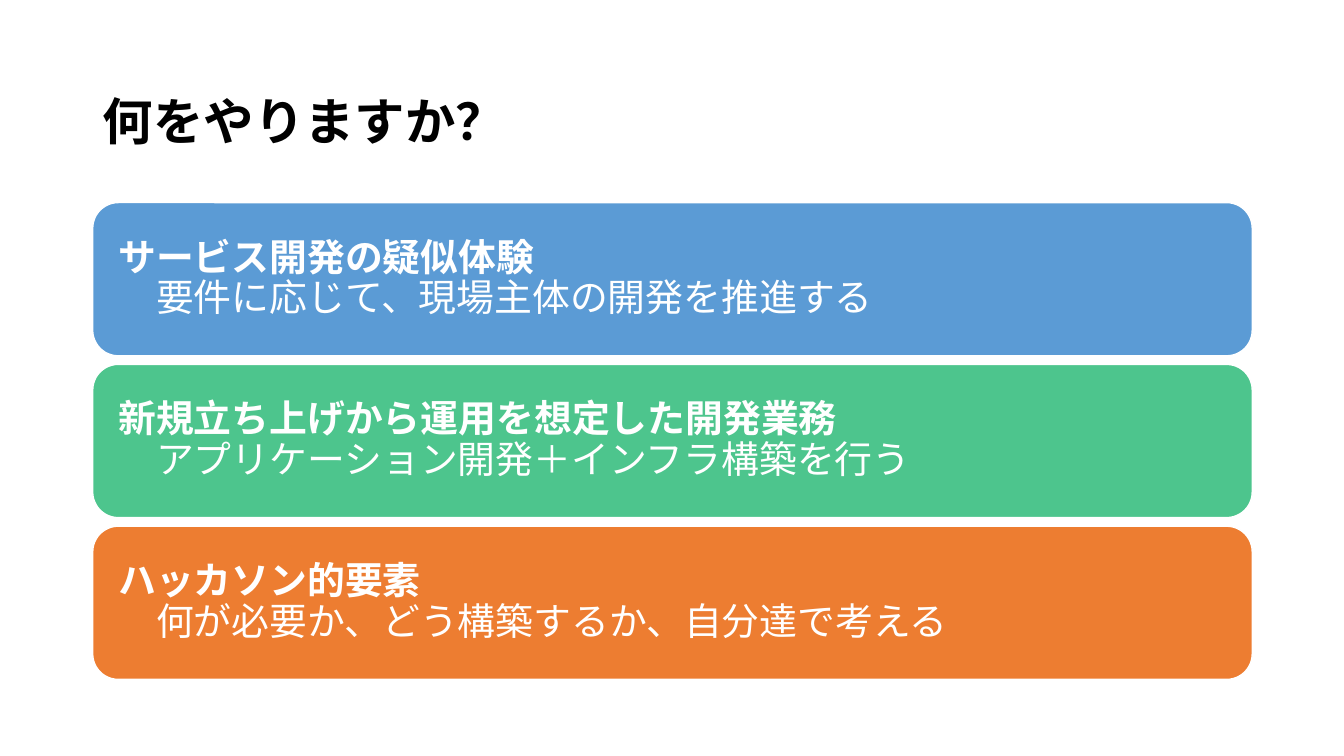
from pptx import Presentation
from pptx import util as u
from pptx.dml.color import RGBColor
from pptx.enum import shapes, text

COLORS = {"ink": "000000", "paper": "FFFFFF", "blue": "5B9BD5", "green": "4DC58D", "orange": "ED7D31"}
LEFT, WIDTH = 0.92, 11.5
CARD_TOP, CARD_HEIGHT, CARD_PITCH = 2.01, 1.52, 1.605
CARDS = [
    ("blue", "サービス開発の疑似体験", "　要件に応じて、現場主体の開発を推進する"),
    ("green", "新規立ち上げから運用を想定した開発業務", "　アプリケーション開発＋インフラ構築を行う"),
    ("orange", "ハッカソン的要素", "　何が必要か、どう構築するか、自分達で考える"),
]


def apply(target, values):
    for name, value in values.items():
        setattr(target, name, value)


class SlideBuilder:
    """Holds the slide style and draws its title and cards."""

    def __init__(self, presentation):
        self.slide = presentation.slides.add_slide(presentation.slide_layouts[5])
        self.frame_format = {
            "word_wrap": True,
            "auto_size": text.MSO_AUTO_SIZE.NONE,
            "vertical_anchor": text.MSO_ANCHOR.MIDDLE,
        }
        self.paragraph_format = {"alignment": text.PP_ALIGN.LEFT, "line_spacing": 0.9}

    def color(self, name):
        return RGBColor.from_string(COLORS[name])

    def add_run(self, paragraph, content, size, color, bold):
        run = paragraph.add_run()
        run.text = content
        apply(run.font, {"name": "Calibri", "size": u.Pt(size), "bold": bold})
        run.font.color.rgb = self.color(color)

    def start_paragraph(self, shape, space_after):
        apply(shape.text_frame, self.frame_format)
        paragraph = shape.text_frame.paragraphs[0]
        apply(paragraph, {**self.paragraph_format, "space_after": u.Pt(space_after)})
        return paragraph

    def add_title(self, content, top, height):
        title = self.slide.shapes.title
        apply(title, {"left": u.Inches(LEFT), "top": u.Inches(top),
                      "width": u.Inches(WIDTH), "height": u.Inches(height)})
        self.add_run(self.start_paragraph(title, 6), content, 36, "ink", True)

    def add_card(self, top, fill, heading, detail):
        card = self.slide.shapes.add_shape(
            shapes.MSO_SHAPE.ROUNDED_RECTANGLE,
            u.Inches(LEFT), u.Inches(top), u.Inches(WIDTH), u.Inches(CARD_HEIGHT))
        card.shadow.inherit = False
        card.fill.solid()
        card.fill.fore_color.rgb = self.color(fill)
        card.line.color.rgb = self.color("paper")
        card.line.width = u.Pt(1)
        margins = ("margin_left", "margin_top", "margin_right", "margin_bottom")
        apply(card.text_frame, dict.fromkeys(margins, u.Inches(0.18)))
        paragraph = self.start_paragraph(card, 9.45)
        self.add_run(paragraph, heading, 27, "paper", True)
        paragraph.add_line_break()
        self.add_run(paragraph, detail, 27, "paper", False)


def main():
    presentation = Presentation()
    apply(presentation, {"slide_width": u.Inches(13.33), "slide_height": u.Inches(7.5)})
    builder = SlideBuilder(presentation)
    builder.add_title("何をやりますか？", 0.61, 1.24)
    for index, card in enumerate(CARDS):
        builder.add_card(CARD_TOP + index * CARD_PITCH, *card)
    presentation.save("out.pptx")


if __name__ == "__main__":
    main()
